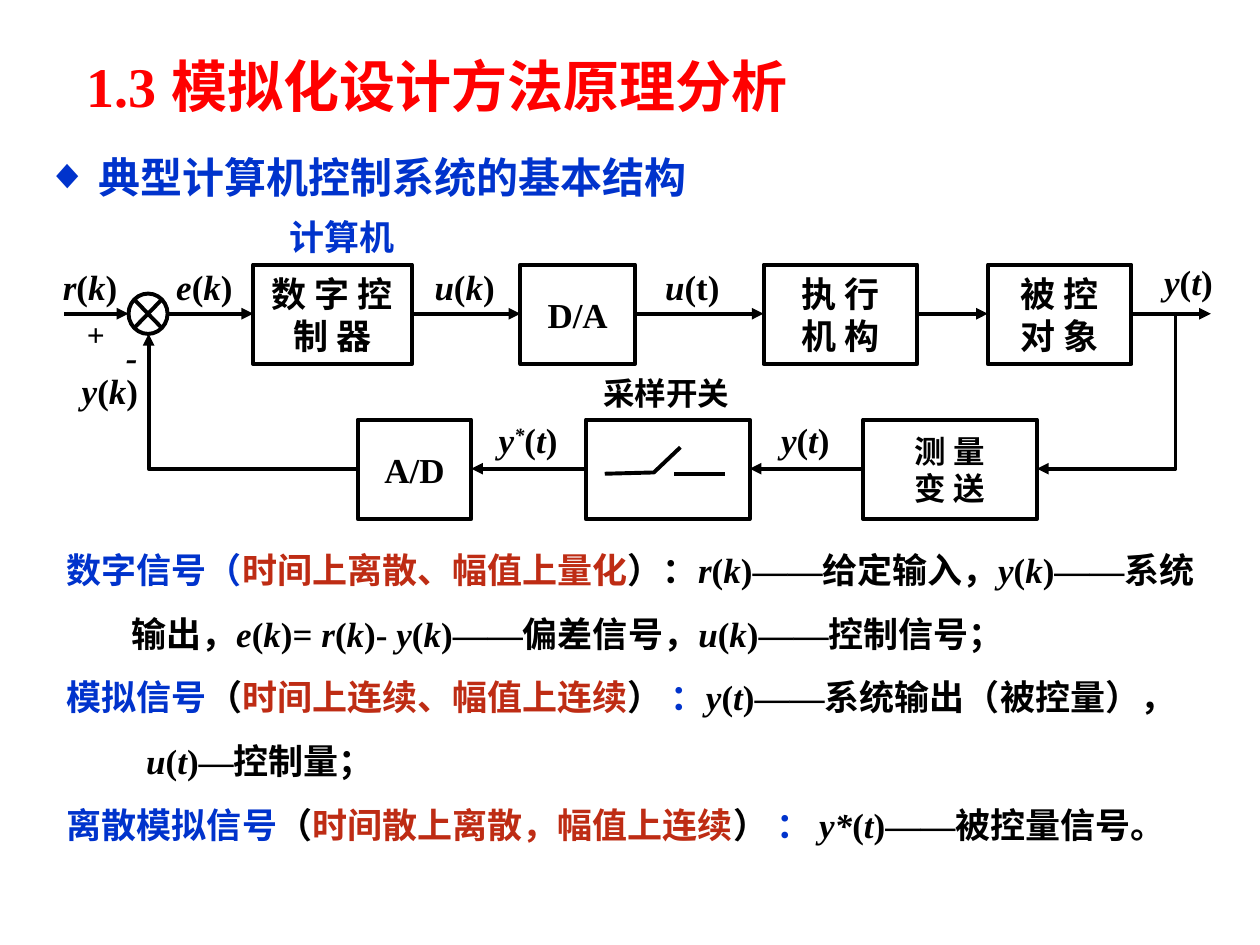
from dataclasses import dataclass

from lxml import etree
from pptx import Presentation
from pptx.dml.color import RGBColor
from pptx.enum.lang import MSO_LANGUAGE_ID
from pptx.enum.shapes import MSO_CONNECTOR, MSO_SHAPE
from pptx.enum.text import MSO_ANCHOR, MSO_AUTO_SIZE, PP_ALIGN
from pptx.oxml.ns import qn
from pptx.util import Pt

PX = 9144  # EMU in one px, 100 px to the inch
RECT = MSO_SHAPE.RECTANGLE
SUM = MSO_SHAPE.FLOWCHART_SUMMING_JUNCTION
STRAIGHT = MSO_CONNECTOR.STRAIGHT
LEFT, CENTER = PP_ALIGN.LEFT, PP_ALIGN.CENTER
TOP, MIDDLE = MSO_ANCHOR.TOP, MSO_ANCHOR.MIDDLE
NO_FIT = MSO_AUTO_SIZE.NONE
CHINESE = MSO_LANGUAGE_ID.SIMPLIFIED_CHINESE


@dataclass(frozen=True)
class Theme:
    font: str = "Times New Roman"
    red: RGBColor = RGBColor(0xFF, 0x00, 0x00)
    blue: RGBColor = RGBColor(0x00, 0x33, 0xCC)
    rust: RGBColor = RGBColor(0xBE, 0x2C, 0x14)
    ink: RGBColor = RGBColor(0x00, 0x00, 0x00)
    title: int = 32
    heading: int = 24
    body: int = 20
    small: int = 18
    line: float = 2.25
    gap: float = 12.5


T = Theme()

# Each definition: first-line indent in px, then coloured pieces of text.
DEFINITIONS = [
    (0, [("数字信号（", T.blue), ("时间上离散、幅值上量化", T.rust),
         ("）：_r_(_k_)——给定输入，_y_(_k_)——系统", T.ink)]),
    (51, [("输出，_e_(_k_)= _r_(_k_)- _y_(_k_)——偏差信号，_u_(_k_)——控制信号；", T.ink)]),
    (0, [("模拟信号", T.blue), ("（", T.ink), ("时间上连续、幅值上连续", T.rust),
         ("）", T.ink), (" ：", T.blue), ("_y_(_t_)——系统输出（被控量），", T.ink)]),
    (63, [("_u_(_t_)—控制量；", T.ink)]),
    (0, [("离散模拟信号", T.blue), ("（", T.ink), ("时间散上离散，幅值上连续", T.rust),
         ("）", T.ink), (" ： ", T.blue), ("_y*_(_t_)——被控量信号。", T.ink)]),
]

# Blocks: x, width, lines of text, type size.
FORWARD_BLOCKS = [
    (161, 126, ["数 字 控", "制 器"], T.body),
    (373, 91, ["D/A"], T.body),
    (566, 122, ["执 行", "机 构"], T.body),
    (744, 114, ["被 控", "对 象"], T.body),
]
FEEDBACK_BLOCKS = [
    (244, 90, ["A/D"], T.body),
    (425, 130, [], T.body),
    (645, 138, ["测 量", "变 送"], T.small),
]
# Labels: x, y, width, text, type size, colour.
LABELS = [
    (874, 42, 71, "_y_(_t_)", T.body, T.ink),
    (570, 167, 79, "_y_(_t_)", T.body, T.ink),
    (346, 167, 79, "_y^*^_(_t_)", T.body, T.ink),
    (15, 128, 79, "_y_(_k_)", T.body, T.ink),
    (0, 46, 79, "_r_(_k_)", T.body, T.ink),
    (90, 46, 79, "_e_(_k_)", T.body, T.ink),
    (295, 46, 79, "_u_(_k_)", T.body, T.ink),
    (478, 46, 81, "_u_(t)", T.body, T.ink),
    (19, 85, 43, "_+_", T.small, T.ink),
    (50, 101, 43, "_-_", T.body, T.ink),
    (180, 6, 110, "计算机", T.body, T.blue),
    (429, 132, 130, "采样开关", T.small, T.ink),
]


def px(*values):
    return [v * PX for v in values]


def add_text(p, text, size, color):
    """Adds runs to p: _..._ is italic and ^...^ is superscript."""
    for i, part in enumerate(text.split("_")):
        for j, piece in enumerate(part.split("^")):
            if not piece:
                continue
            r = p.add_run()
            r.text = piece
            f = r.font
            f.name, f.size, f.bold, f.italic = T.font, Pt(size), True, i % 2 == 1
            f.color.rgb = color
            f.language_id = CHINESE
            if j % 2:
                f._element.set("baseline", "30000")


def set_paragraph(p, align=LEFT, indent=0, margin=0, before=0, bullet=None):
    p.alignment = align
    p.space_before = Pt(before)
    pPr = p._p.get_or_add_pPr()
    pPr.set("marL", str(margin * PX))
    pPr.set("indent", str(indent * PX))
    if bullet:
        etree.SubElement(pPr, qn("a:buChar")).set("char", bullet)
    else:
        etree.SubElement(pPr, qn("a:buNone"))


def place(sp, box):
    sp.left, sp.top, sp.width, sp.height = px(*box)
    tf = sp.text_frame
    tf.word_wrap, tf.auto_size, tf.vertical_anchor = True, NO_FIT, TOP
    return tf


def fill_title(sp, box):
    p = place(sp, box).paragraphs[0]
    set_paragraph(p)
    add_text(p, "1.3 模拟化设计方法原理分析", T.title, T.red)


def fill_heading(sp, box):
    p = place(sp, box).paragraphs[0]
    set_paragraph(p, indent=-41, margin=41, bullet="◆")
    add_text(p, "典型计算机控制系统的基本结构", T.heading, T.blue)


def fill_definitions(sp, box):
    tf = place(sp, box)
    for i, (indent, pieces) in enumerate(DEFINITIONS):
        p = tf.add_paragraph() if i else tf.paragraphs[0]
        set_paragraph(p, indent=indent, before=T.gap)
        for text, color in pieces:
            add_text(p, text, T.body, color)


def style_line(sp, arrow=False):
    sp.line.color.rgb = T.ink
    sp.line.width = Pt(T.line)
    if arrow:
        etree.SubElement(sp.line._get_or_add_ln(), qn("a:tailEnd")).set("type", "triangle")


def add_outline(s, kind, x, y, w, h):
    sp = s.shapes.add_shape(kind, *px(x, y, w, h))
    sp.shadow.inherit = False
    sp.fill.background()
    style_line(sp)
    return sp


def add_block(s, x, y, w, h, lines, size):
    tf = add_outline(s, RECT, x, y, w, h).text_frame
    tf.margin_left = tf.margin_right = tf.margin_top = tf.margin_bottom = 0
    tf.vertical_anchor = MIDDLE
    for i, line in enumerate(lines):
        p = tf.add_paragraph() if i else tf.paragraphs[0]
        p.alignment = CENTER
        add_text(p, line, size, T.ink)


def add_line(s, x1, y1, x2, y2, arrow=True):
    c = s.shapes.add_connector(STRAIGHT, *px(x1, y1, x2, y2))
    style_line(c, arrow)
    etree.SubElement(c._element.spPr, qn("a:effectLst"))


def add_polyline(s, points, arrow=True):
    fb = s.shapes.build_freeform(*px(*points[0]))
    fb.add_line_segments([px(*pt) for pt in points[1:]], close=False)
    sp = fb.convert_to_shape()
    sp.shadow.inherit = False
    sp.fill.background()
    style_line(sp, arrow)


def add_diagram(s, x0, y0):
    top, bottom, block_h = y0 + 50, y0 + 173, 79
    forward, feedback = y0 + 89, y0 + 212
    for y, blocks in ((top, FORWARD_BLOCKS), (bottom, FEEDBACK_BLOCKS)):
        for x, w, lines, size in blocks:
            add_block(s, x0 + x, y, w, block_h, lines, size)
    sum_x, sum_w, sum_h = 62, 31, 32
    add_outline(s, SUM, x0 + sum_x, forward - sum_h // 2, sum_w, sum_h)

    spans = [(sum_x, sum_w)] + [b[:2] for b in FORWARD_BLOCKS]
    starts = [11] + [x + w for x, w in spans]
    ends = [x for x, _ in spans] + [921]
    for start, end in zip(starts, ends):
        add_line(s, x0 + start, forward, x0 + end, forward)
    for (x, w, *_), (source, *_) in zip(FEEDBACK_BLOCKS, FEEDBACK_BLOCKS[1:]):
        add_line(s, x0 + source, feedback, x0 + x + w, feedback)

    add_polyline(s, [(x0 + 893, forward), (x0 + 893, feedback), (x0 + 783, feedback)])
    add_polyline(s, [(x0 + 244, feedback), (x0 + 78, feedback),
                     (x0 + 78, forward + sum_h // 2)])
    add_switch(s, x0 + 440, y0 + 195)

    for x, y, w, text, size, color in LABELS:
        tf = place(s.shapes.add_textbox(0, 0, 0, 0), (x0 + x, y0 + y, w, 44))
        add_text(tf.paragraphs[0], text, size, color)


def add_switch(s, x, y):
    add_polyline(s, [(x, y + 21), (x + 39, y + 20), (x + 60, y)], arrow=False)
    add_line(s, x + 55, y + 21, x + 95, y + 21, arrow=False)


def main():
    prs = Presentation()
    prs.slide_width, prs.slide_height = px(1000, 750)
    s = prs.slides.add_slide(prs.slide_layouts.get_by_name("Two Content"))
    title, heading, definitions = s.placeholders
    fill_title(title, (59, 36, 721, 64))
    fill_heading(heading, (27, 115, 664, 50))
    fill_definitions(definitions, (43, 430, 933, 280))
    add_diagram(s, 40, 160)
    prs.save("out.pptx")


if __name__ == "__main__":
    main()
